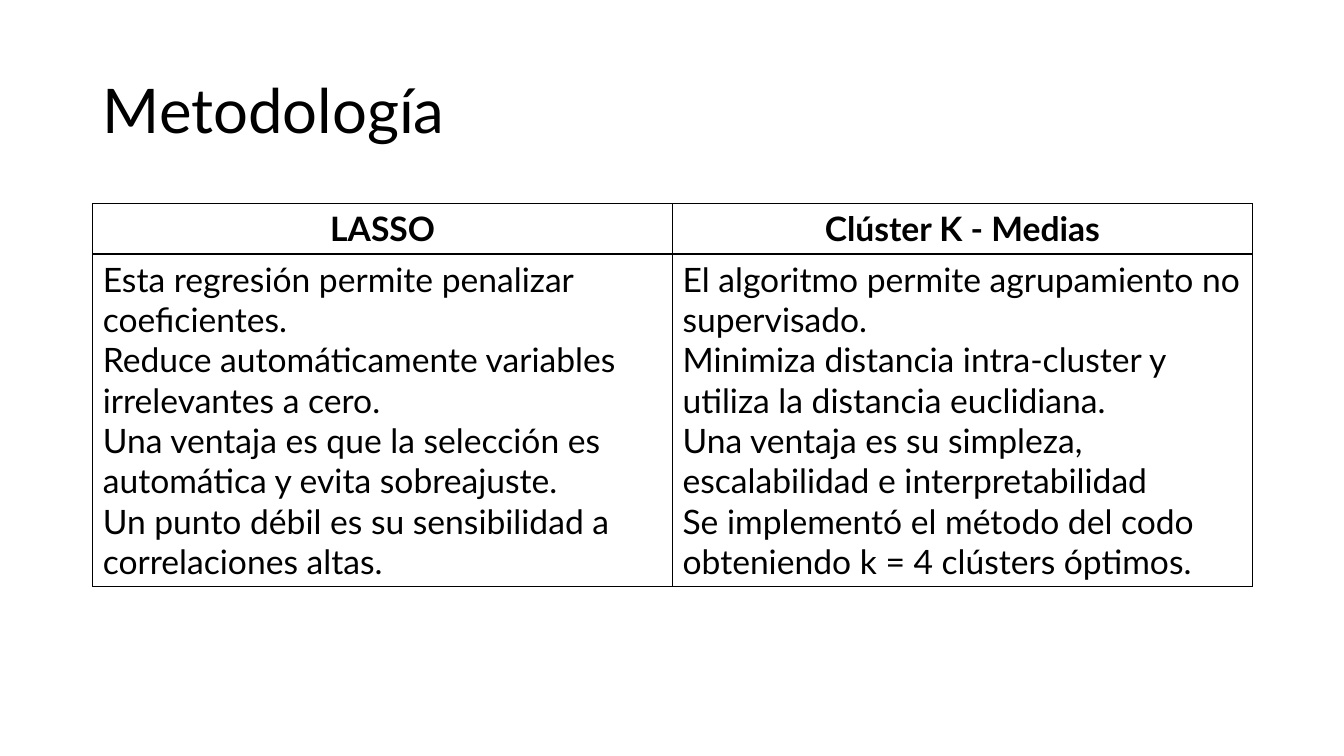
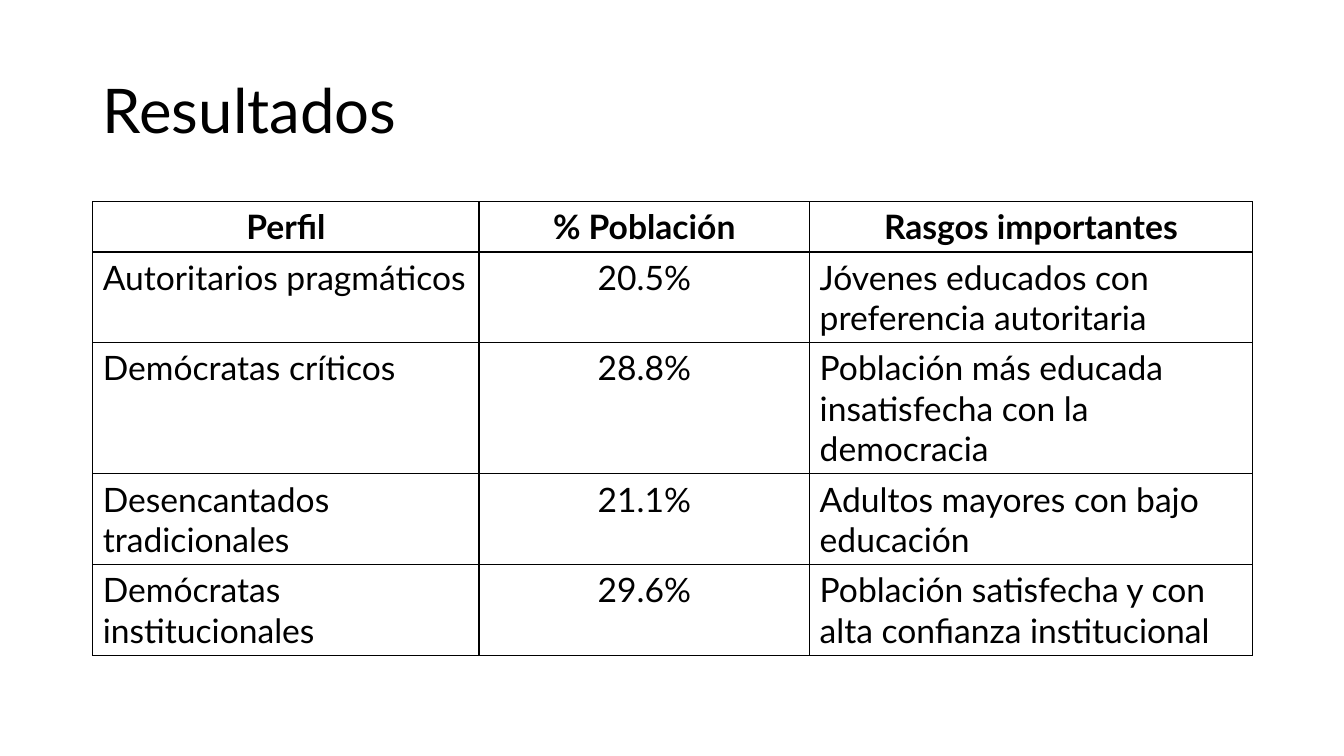
from lxml import etree
from pptx import Presentation
from pptx import util as u
from pptx.dml.color import RGBColor
from pptx.enum import text
from pptx.oxml import parse_xml
from pptx.oxml.ns import nsdecls

LEFT, CENTER = text.PP_ALIGN.LEFT, text.PP_ALIGN.CENTER


def rgb(value):
    return RGBColor.from_string(value)


class Deck:
    INK = "000000"
    FONT = "Lato"
    X, WIDTH = 0.92, 11.5
    TITLE = {"size": u.Pt(44), "bold": False}
    HEAD = {"size": u.Pt(24), "bold": True}
    BODY = {"size": u.Pt(24), "bold": False}

    def __init__(self):
        self.prs = Presentation()
        self.prs.slide_width = u.Inches(13.33)
        self.prs.slide_height = u.Inches(7.5)
        self.s = None

    def format(self, p, style, align):
        p.alignment = align
        for r in p.runs:
            for name, value in {"name": self.FONT, **style}.items():
                setattr(r.font, name, value)
            r.font.color.rgb = rgb(self.INK)

    def slide(self, title):
        self.s = self.prs.slides.add_slide(self.prs.slide_layouts[5])
        sp = self.s.shapes.title
        box = {"left": self.X, "top": 0.4, "width": self.WIDTH, "height": 1.45}
        for name, value in box.items():
            setattr(sp, name, u.Inches(value))
        tf = sp.text_frame
        tf.text = title
        tf.auto_size = text.MSO_AUTO_SIZE.NONE
        tf.vertical_anchor = text.MSO_ANCHOR.MIDDLE
        p = tf.paragraphs[0]
        p.line_spacing = 0.9
        self.format(p, self.TITLE, LEFT)

    def border(self, cell):
        """Draw a thin line on all four sides of a cell."""
        tcPr = cell._tc.get_or_add_tcPr()
        for i, side in enumerate("LRTB"):
            tcPr.insert(i, parse_xml(
                f'<a:ln{side} {nsdecls("a")} w="{u.Pt(1)}"><a:solidFill>'
                f'<a:srgbClr val="{self.INK}"/></a:solidFill></a:ln{side}>'))

    def table(self, top, widths, aligns, rows):
        """Add a table whose first row is a centred heading; rows grow to fit."""
        row_height = u.Inches(0.41)
        table = self.s.shapes.add_table(
            len(rows), len(widths), u.Inches(self.X), u.Inches(top),
            u.Inches(self.WIDTH), row_height * len(rows)).table
        table.horz_banding = False
        for column, width in zip(table.columns, widths):
            column.width = u.Inches(width)
        for i, row in enumerate(rows):
            table.rows[i].height = row_height
            for j, content in enumerate(row):
                cell = table.cell(i, j)
                cell.text = content
                cell.fill.background()
                self.border(cell)
                for p in cell.text_frame.paragraphs:
                    if i == 0:
                        self.format(p, self.HEAD, CENTER)
                    else:
                        self.format(p, self.BODY, aligns[j])


def main():
    deck = Deck()

    deck.slide("Metodología")
    lasso = [
        "Esta regresión permite penalizar coeficientes.",
        "Reduce automáticamente variables irrelevantes a cero.",
        "Una ventaja es que la selección es automática y evita sobreajuste.",
        "Un punto débil es su sensibilidad a correlaciones altas.",
    ]
    k_means = [
        "El algoritmo permite agrupamiento no supervisado.",
        "Minimiza distancia intra-cluster y utiliza la distancia euclidiana.",
        "Una ventaja es su simpleza, escalabilidad e interpretabilidad",
        "Se implementó el método del codo obteniendo k = 4 clústers óptimos.",
    ]
    deck.table(2.02, [5.75, 5.75], [LEFT, LEFT], [
        ["LASSO", "Clúster K - Medias"],
        ["\n".join(lasso), "\n".join(k_means)],
    ])

    deck.slide("Resultados")
    deck.table(2, [3.83, 3.28, 4.39], [LEFT, CENTER, LEFT], [
        ["Perfil", "% Población", "Rasgos importantes"],
        ["Autoritarios pragmáticos", "20.5%",
         "Jóvenes educados con preferencia autoritaria"],
        ["Demócratas críticos", "28.8%",
         "Población más educada insatisfecha con la democracia"],
        ["Desencantados tradicionales", "21.1%",
         "Adultos mayores con bajo educación"],
        ["Demócratas institucionales", "29.6%",
         "Población satisfecha y con alta confianza institucional"],
    ])

    deck.prs.save("out.pptx")


if __name__ == "__main__":
    main()
